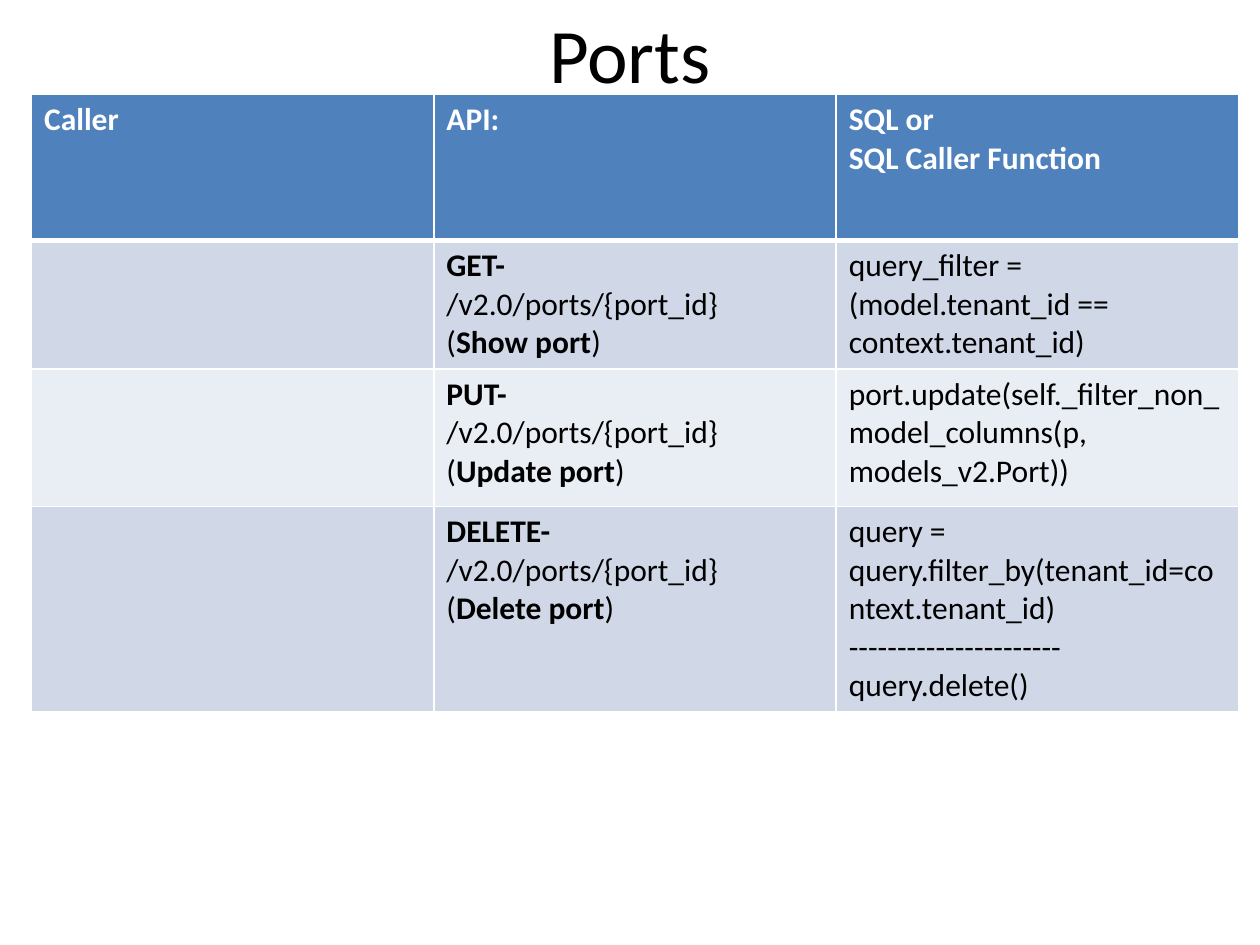
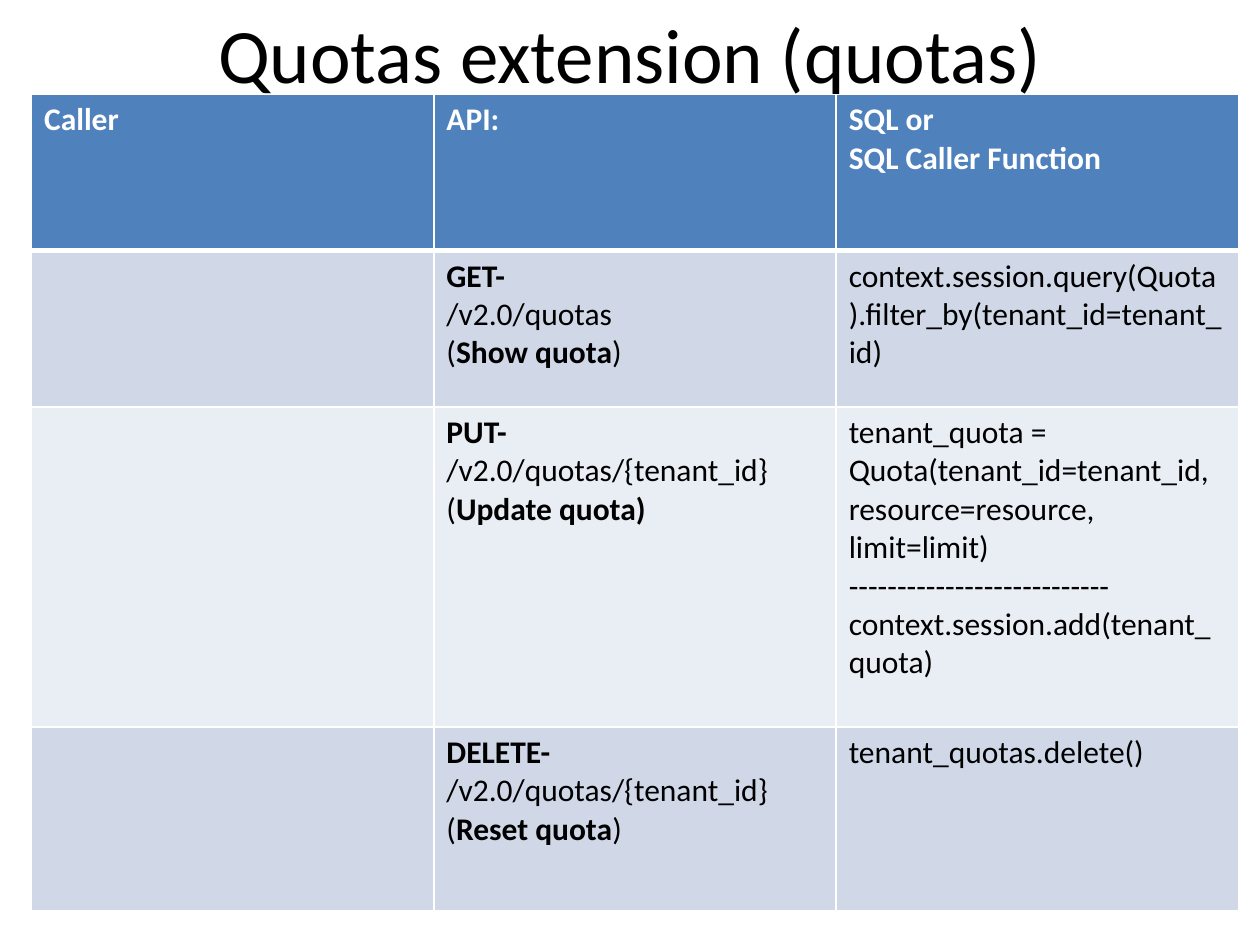
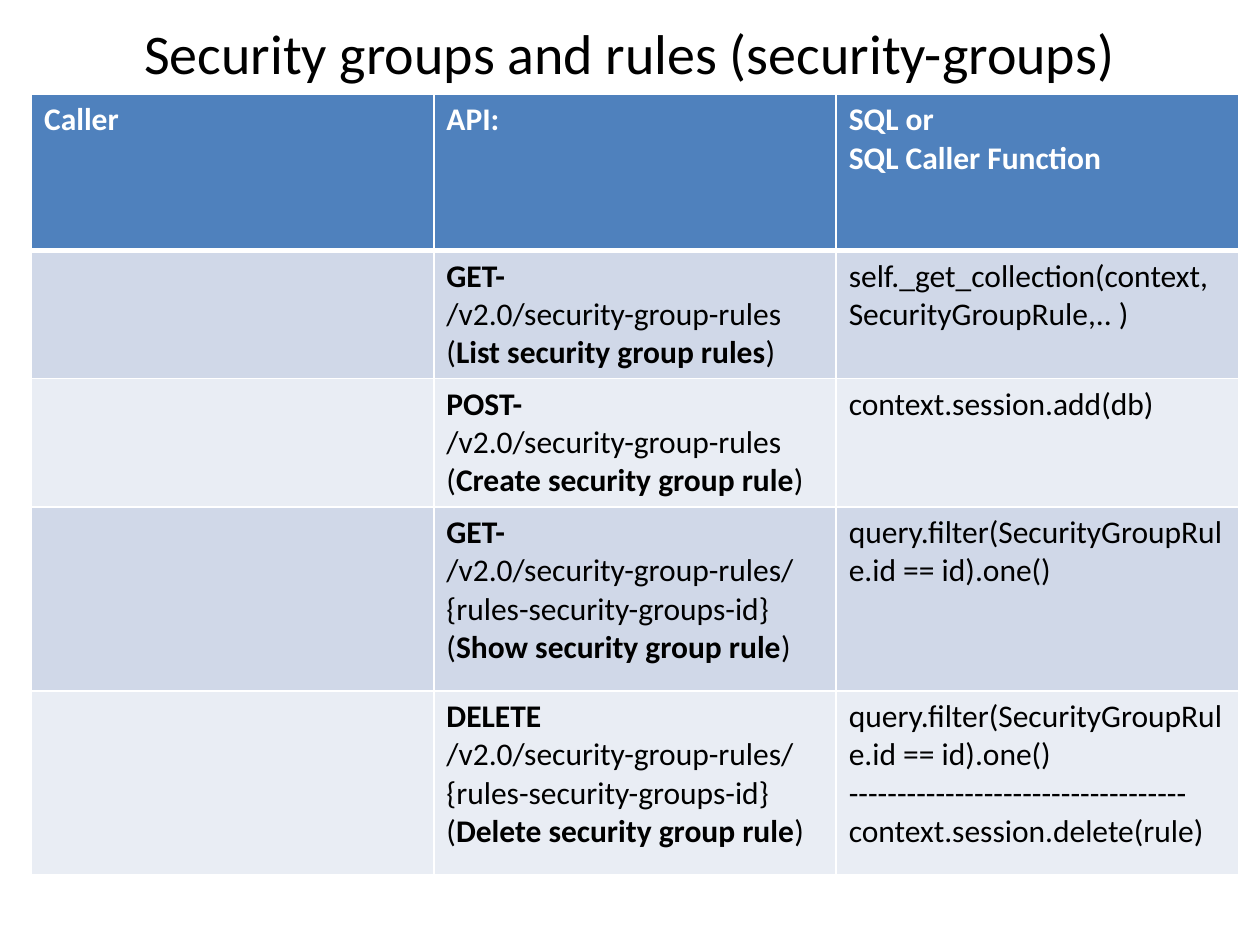
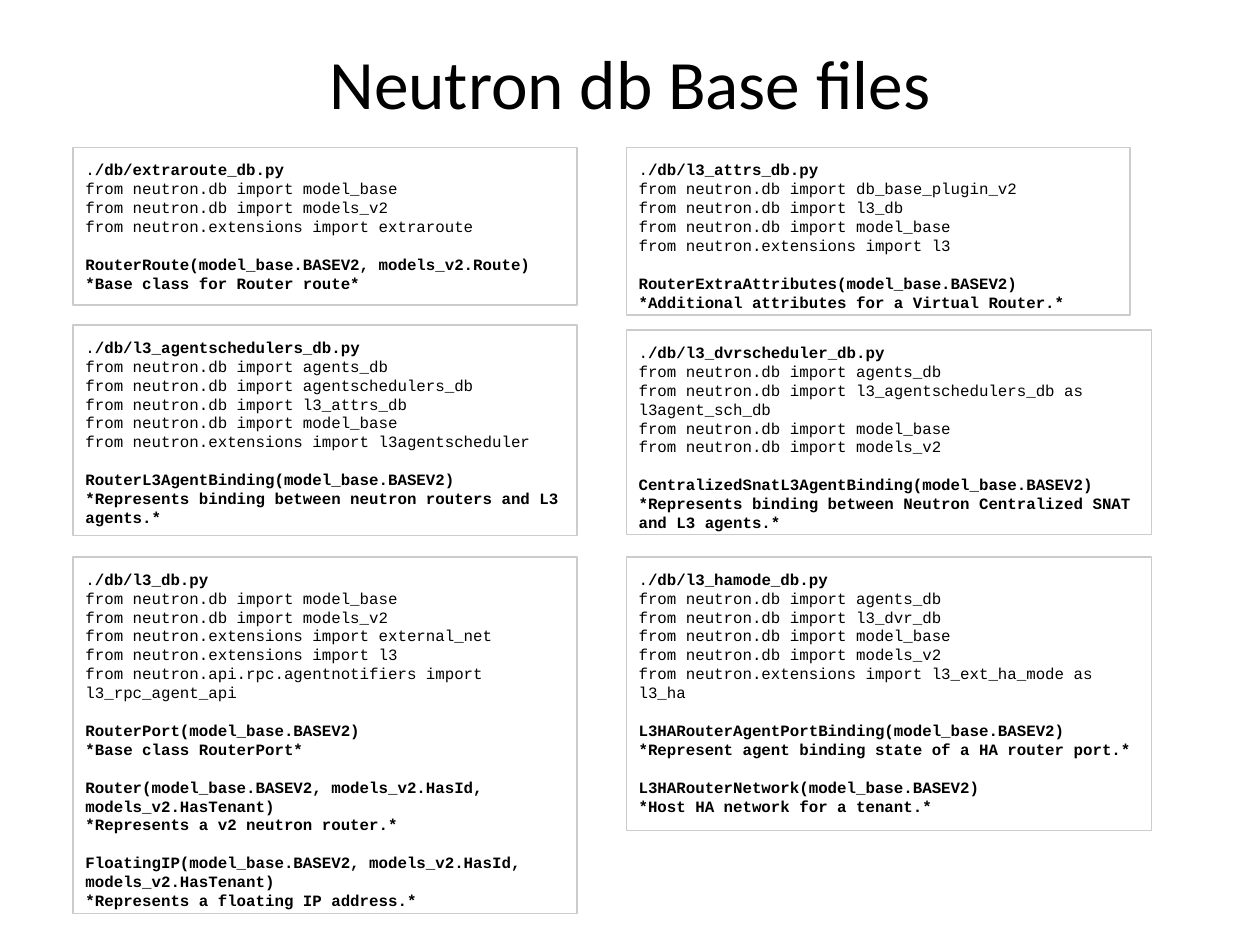
from dataclasses import dataclass
from typing import NamedTuple

from lxml import etree
from pptx import Presentation
from pptx.dml.color import RGBColor
from pptx.enum.shapes import MSO_SHAPE
from pptx.enum.text import MSO_ANCHOR, PP_ALIGN
from pptx.oxml.ns import qn
from pptx.presentation import Presentation as Deck
from pptx.slide import Slide
from pptx.table import _Cell as Cell
from pptx.text.text import TextFrame
from pptx.util import Inches, Pt

RECTANGLE = MSO_SHAPE.RECTANGLE
TOP, MIDDLE = MSO_ANCHOR.TOP, MSO_ANCHOR.MIDDLE
LEFT, CENTER = PP_ALIGN.LEFT, PP_ALIGN.CENTER
TITLE_ONLY = 5


@dataclass(frozen=True)
class Theme:
    text: str = "000000"
    header_text: str = "FFFFFF"
    header_fill: str = "4F81BD"
    bands: tuple[str, str] = ("D0D8E8", "E9EDF4")
    grid: str = "FFFFFF"
    box_line: str = "CCCCCC"
    font: str = "Calibri"
    code_font: str = "Courier New"
    title_size: float = 44
    long_title_size: float = 32
    files_title_size: float = 39.6
    table_size: float = 18
    code_size: float = 9
    code_pitch: float = 10.8
    grid_width: float = 1
    header_rule_width: float = 3
    box_line_width: float = 0.75


THEME = Theme()


class Style(NamedTuple):
    size: float
    font: str = THEME.font
    color: str = THEME.text


class Run(NamedTuple):
    text: str
    bold: bool = False


Line = list[Run]


@dataclass(frozen=True)
class Endpoint:
    height: float
    method: str
    address: str
    action: str
    sql: tuple[str, ...]
    bold_close: bool = False

    def api_lines(self) -> list[Line]:
        return [
            [Run(self.method, True)],
            [Run(self.address)],
            [Run("("), Run(self.action, True), Run(")", self.bold_close)],
        ]


@dataclass(frozen=True)
class EndpointSlide:
    title: str
    title_size: float
    header_height: float
    endpoints: tuple[Endpoint, ...]


class Model(NamedTuple):
    signature: str
    note: str


@dataclass(frozen=True)
class SourceFile:
    left: float
    top: float
    width: float
    height: float
    name: str
    imports: tuple[str, ...]
    models: tuple[Model, ...]


TABLE_LEFT, TABLE_TOP, TABLE_WIDTH = 0.25, 0.75, 9.58
HEADINGS = (("Caller",), ("API:",), ("SQL or", "SQL Caller Function"))
PORT = "/v2.0/ports/{port_id}"
QUOTAS = "/v2.0/quotas"
TENANT_QUOTA = QUOTAS + "/{tenant_id}"
RULES = "/v2.0/security-group-rules"
RULE = RULES + "/{rules-security-groups-id}"
FIND_RULE = "query.filter(SecurityGroupRule.id == id).one()"

ENDPOINT_SLIDES = (
    EndpointSlide("Ports", THEME.title_size, 1.16, (
        Endpoint(1.02, "GET-", PORT, "Show port",
                 ("query_filter = (model.tenant_id == context.tenant_id)",)),
        Endpoint(1.09, "PUT-", PORT, "Update port",
                 ("port.update(self._filter_non_model_columns(p, models_v2.Port))",)),
        Endpoint(1.62, "DELETE-", PORT, "Delete port",
                 ("query = query.filter_by(tenant_id=context.tenant_id)",
                  "-" * 22, "query.delete()")),
    )),
    EndpointSlide("Quotas extension (quotas)", THEME.title_size, 1.24, (
        Endpoint(1.24, "GET-", QUOTAS, "Show quota",
                 ("context.session.query(Quota).filter_by(tenant_id=tenant_id)",)),
        Endpoint(2.54, "PUT-", TENANT_QUOTA, "Update quota",
                 ("tenant_quota = Quota(tenant_id=tenant_id, resource=resource, limit=limit)",
                  "-" * 27, "context.session.add(tenant_quota)"), bold_close=True),
        Endpoint(1.46, "DELETE-", TENANT_QUOTA, "Reset quota", ("tenant_quotas.delete()",)),
    )),
    EndpointSlide("Security groups and rules (security-groups)", THEME.long_title_size, 1.24, (
        Endpoint(1.01, "GET-", RULES, "List security group rules",
                 ("self._get_collection(context, SecurityGroupRule,.. )",)),
        Endpoint(1.02, "POST-", RULES, "Create security group rule",
                 ("context.session.add(db)",)),
        Endpoint(1.46, "GET-", RULE, "Show security group rule", (FIND_RULE,)),
        Endpoint(1.46, "DELETE", RULE, "Delete security group rule",
                 (FIND_RULE, "-" * 35, "context.session.delete(rule)")),
    )),
)

LEFT_COLUMN, RIGHT_COLUMN = 0.58, 4.97
SOURCE_FILES = (
    SourceFile(LEFT_COLUMN, 1.17, 4, 1.25, "extraroute_db.py",
               ("db.model_base", "db.models_v2", "extensions.extraroute"),
               (Model("RouterRoute(model_base.BASEV2, models_v2.Route)",
                      "*Base class for Router route*"),)),
    SourceFile(LEFT_COLUMN, 2.58, 4, 1.67, "l3_agentschedulers_db.py",
               ("db.agents_db", "db.agentschedulers_db", "db.l3_attrs_db",
                "db.model_base", "extensions.l3agentscheduler"),
               (Model("RouterL3AgentBinding(model_base.BASEV2)",
                      "*Represents binding between neutron routers and L3 agents.*"),)),
    SourceFile(RIGHT_COLUMN, 1.17, 4, 1.33, "l3_attrs_db.py",
               ("db.db_base_plugin_v2", "db.l3_db", "db.model_base", "extensions.l3"),
               (Model("RouterExtraAttributes(model_base.BASEV2)",
                      "*Additional attributes for a Virtual Router.*"),)),
    SourceFile(LEFT_COLUMN, 4.42, 4, 2.83, "l3_db.py",
               ("db.model_base", "db.models_v2", "extensions.external_net",
                "extensions.l3", "api.rpc.agentnotifiers.l3_rpc_agent_api"),
               (Model("RouterPort(model_base.BASEV2)", "*Base class RouterPort*"),
                Model("Router(model_base.BASEV2, models_v2.HasId, models_v2.HasTenant)",
                      "*Represents a v2 neutron router.*"),
                Model("FloatingIP(model_base.BASEV2, models_v2.HasId, models_v2.HasTenant)",
                      "*Represents a floating IP address.*"))),
    SourceFile(RIGHT_COLUMN, 2.62, 4.17, 1.62, "l3_dvrscheduler_db.py",
               ("db.agents_db", "db.l3_agentschedulers_db as l3agent_sch_db",
                "db.model_base", "db.models_v2"),
               (Model("CentralizedSnatL3AgentBinding(model_base.BASEV2)",
                      "*Represents binding between Neutron Centralized SNAT and L3 agents.*"),)),
    SourceFile(RIGHT_COLUMN, 4.42, 4.17, 2.17, "l3_hamode_db.py",
               ("db.agents_db", "db.l3_dvr_db", "db.model_base", "db.models_v2",
                "extensions.l3_ext_ha_mode as l3_ha"),
               (Model("L3HARouterAgentPortBinding(model_base.BASEV2)",
                      "*Represent agent binding state of a HA router port.*"),
                Model("L3HARouterNetwork(model_base.BASEV2)",
                      "*Host HA network for a tenant.*"))),
)


def write_lines(frame: TextFrame, lines: list[Line], style: Style,
                alignment: PP_ALIGN = LEFT) -> None:
    """Write one paragraph per line, each made of plain and bold runs."""
    for index, line in enumerate(lines):
        paragraph = frame.add_paragraph() if index else frame.paragraphs[0]
        paragraph.alignment = alignment
        for piece in line:
            run = paragraph.add_run()
            run.text = piece.text
            run.font.bold = piece.bold
            run.font.size = Pt(style.size)
            run.font.name = style.font
            run.font.color.rgb = RGBColor.from_string(style.color)


def add_titled_slide(presentation: Deck, title: str, size: float,
                     top: float, height: float) -> Slide:
    slide = presentation.slides.add_slide(presentation.slide_layouts[TITLE_ONLY])
    shape = slide.shapes.title
    shape.left, shape.top = Inches(0.5), Inches(top)
    shape.width, shape.height = Inches(9), Inches(height)
    shape.text_frame.vertical_anchor = MIDDLE
    write_lines(shape.text_frame, [[Run(title)]], Style(size), CENTER)
    return slide


def format_cell(cell: Cell, row: int) -> None:
    """Give the cell its grid lines and its header or band fill."""
    properties = cell._tc.get_or_add_tcPr()
    widths = {
        "a:lnL": THEME.grid_width,
        "a:lnR": THEME.grid_width,
        "a:lnT": THEME.header_rule_width if row == 1 else THEME.grid_width,
        "a:lnB": THEME.header_rule_width if row == 0 else THEME.grid_width,
    }
    for tag, width in widths.items():
        line = etree.SubElement(properties, qn(tag), w=str(Pt(width)))
        fill = etree.SubElement(line, qn("a:solidFill"))
        etree.SubElement(fill, qn("a:srgbClr"), val=THEME.grid)
    cell.fill.solid()
    color = THEME.bands[(row - 1) % 2] if row else THEME.header_fill
    cell.fill.fore_color.rgb = RGBColor.from_string(color)


def add_endpoint_table(slide: Slide, content: EndpointSlide) -> None:
    heights = [content.header_height] + [item.height for item in content.endpoints]
    table = slide.shapes.add_table(
        len(heights), len(HEADINGS), Inches(TABLE_LEFT), Inches(TABLE_TOP),
        Inches(TABLE_WIDTH), Inches(sum(heights))).table
    for row, height in enumerate(heights):
        table.rows[row].height = Inches(height)
        for cell in table.rows[row].cells:
            format_cell(cell, row)

    header_style = Style(THEME.table_size, color=THEME.header_text)
    for column, heading in enumerate(HEADINGS):
        write_lines(table.cell(0, column).text_frame,
                    [[Run(text, True)] for text in heading], header_style)

    body_style = Style(THEME.table_size)
    for row, endpoint in enumerate(content.endpoints, start=1):
        write_lines(table.cell(row, 1).text_frame, endpoint.api_lines(), body_style)
        write_lines(table.cell(row, 2).text_frame,
                    [[Run(text)] for text in endpoint.sql], body_style)


def import_statement(dotted_name: str) -> str:
    package, _, name = dotted_name.rpartition(".")
    return f"from neutron.{package} import {name}"


def add_source_file(slide: Slide, source: SourceFile) -> None:
    box = slide.shapes.add_shape(
        RECTANGLE, Inches(source.left), Inches(source.top),
        Inches(source.width), Inches(source.height))
    box.shadow.inherit = False
    box.fill.background()
    box.line.color.rgb = RGBColor.from_string(THEME.box_line)
    box.line.width = Pt(THEME.box_line_width)

    frame = box.text_frame
    frame.word_wrap = True
    frame.vertical_anchor = TOP
    frame.margin_left = frame.margin_right = Inches(0.1)
    frame.margin_top = frame.margin_bottom = Inches(0.1)

    lines = [[Run("."), Run(f"/db/{source.name}", True)]]
    lines += [[Run(import_statement(name))] for name in source.imports]
    first_model = len(lines)
    lines += [[Run(text, True)] for model in source.models for text in model]
    write_lines(frame, lines, Style(THEME.code_size, THEME.code_font))
    for paragraph in frame.paragraphs:
        paragraph.line_spacing = Pt(THEME.code_pitch)
    for signature in frame.paragraphs[first_model::2]:
        signature.space_before = Pt(THEME.code_pitch)


def main() -> None:
    presentation = Presentation()
    presentation.slide_width, presentation.slide_height = Inches(10), Inches(7.5)

    for content in ENDPOINT_SLIDES:
        slide = add_titled_slide(presentation, content.title, content.title_size, 0, 0.83)
        add_endpoint_table(slide, content)

    slide = add_titled_slide(presentation, "Neutron db Base files",
                             THEME.files_title_size, 0.3, 0.7)
    for source in SOURCE_FILES:
        add_source_file(slide, source)

    presentation.save("out.pptx")


if __name__ == "__main__":
    main()
